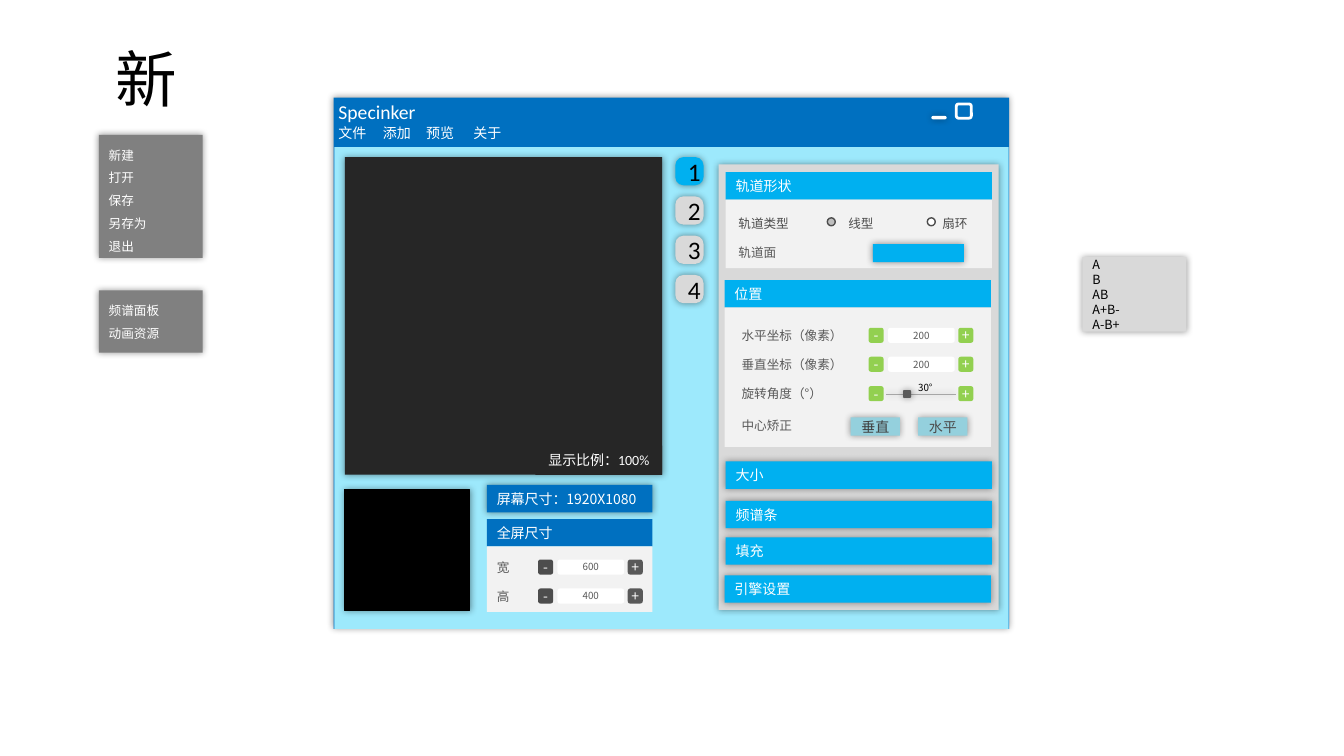
from lxml import etree
from pptx import Presentation
from pptx.dml.color import RGBColor
from pptx.enum.shapes import MSO_CONNECTOR, MSO_SHAPE
from pptx.enum.text import MSO_ANCHOR, PP_ALIGN
from pptx.oxml import parse_xml
from pptx.oxml.ns import nsdecls, qn
from pptx.util import Cm, Pt

RECT, ROUND, OVAL = MSO_SHAPE.RECTANGLE, MSO_SHAPE.ROUNDED_RECTANGLE, MSO_SHAPE.OVAL
LEFT, CENTER = PP_ALIGN.LEFT, PP_ALIGN.CENTER
TOP, MIDDLE = MSO_ANCHOR.TOP, MSO_ANCHOR.MIDDLE

THEME = {
    "latin": "Calibri", "cjk": "Noto Sans CJK SC",
    "white": "FFFFFF", "black": "000000", "blue": "0070C0", "sky": "00B0F0",
    "pale_sky": "9DE9FC", "teal": "94D0DD", "green": "92D050",
    "screen": "262626", "menu": "808080", "panel": "D9D9D9", "card": "F2F2F2",
    "label": "595959", "dark": "4D4D4D", "button_text": "404040",
    "radio": "BFBFBF", "rail": "A6A6A6",
    "display": 44, "tab": 18, "title": 14, "body": 10, "small": 9, "tiny": 7,
}

# Content: (text, position in cm)
MENU_BAR = [("文件", 8.28), ("添加", 9.4), ("预览", 10.49), ("关于", 11.68)]
TABS = ["1", "2", "3", "4"]
DROP_MENUS = [
    (["新建", "打开", "保存", "另存为", "退出"], 3.4, 3.1),
    (["频谱面板", "动画资源"], 7.32, 1.57),
]
BLEND_MODES = ["A", "B", "AB", "A+B-", "A-B+"]
CLOSED_SECTIONS = [("大小", 18.29, 11.63), ("频谱条", 18.29, 12.62),
                   ("填充", 18.29, 13.54), ("引擎设置", 18.26, 14.5)]
TRACK_TYPES = [("线型", 20.85, 21.13, "radio"), ("扇环", 23.37, 23.5, "white")]
POSITION_ROWS = [("水平坐标（像素）", "200", 8.26), ("垂直坐标（像素）", "200", 8.99),
                 ("旋转角度（°）", None, 9.73)]
SIZE_ROWS = [("宽", "600", 14.1), ("高", "400", 14.83)]
CENTERING = [("垂直", 21.44, "button_text"), ("水平", 23.14, "dark")]

HEADER_H = 0.69
STEP = 0.38
LABEL_RISE = 0.13

prs = Presentation()
prs.slide_width, prs.slide_height = Cm(33.87), Cm(19.05)
slide = prs.slides.add_slide(prs.slide_layouts[6])


def color(name):
    return RGBColor.from_string(THEME[name])


def glow(shape):
    """Add a soft, centred shadow."""
    properties = shape._element.spPr
    for old in properties.findall(qn("a:effectLst")):
        properties.remove(old)
    properties.append(parse_xml(
        f'<a:effectLst {nsdecls("a")}><a:outerShdw blurRad="{Pt(5)}" dist="0" dir="0" '
        'algn="ctr" rotWithShape="0"><a:srgbClr val="000000"><a:alpha val="40000"/>'
        '</a:srgbClr></a:outerShdw></a:effectLst>'))


def write(shape, lines, size="body", ink="white", face="cjk", align=LEFT,
          anchor=MIDDLE, spacing=None, inset=0.25):
    frame = shape.text_frame
    layout = {"word_wrap": align == LEFT, "vertical_anchor": anchor,
              "margin_left": Cm(inset), "margin_right": 0,
              "margin_top": Cm(0.13 if anchor == TOP else 0),
              "margin_bottom": 0}
    for name, value in layout.items():
        setattr(frame, name, value)
    for i, line in enumerate(lines):
        paragraph = frame.add_paragraph() if i else frame.paragraphs[0]
        paragraph.alignment, paragraph.line_spacing = align, spacing
        run = paragraph.add_run()
        run.text = line
        for name, value in {"size": Pt(THEME[size]), "name": THEME[face]}.items():
            setattr(run.font, name, value)
        run.font.color.rgb = color(ink)
        east_asian = etree.SubElement(run._r.get_or_add_rPr(), qn("a:ea"))
        east_asian.set("typeface", THEME["cjk"])


def box(x, y, w, h, fill=None, kind=RECT, line=None, weight=0.5, shadow=False, adj=None):
    shape = slide.shapes.add_shape(kind, Cm(x), Cm(y), Cm(w), Cm(h))
    shape.shadow.inherit = False
    if fill:
        shape.fill.solid()
        shape.fill.fore_color.rgb = color(fill)
    else:
        shape.fill.background()
    if line:
        shape.line.color.rgb = color(line)
        shape.line.width = Pt(weight)
    else:
        shape.line.fill.background()
    if adj is not None:
        shape.adjustments[0] = adj
    if shadow:
        glow(shape)
    return shape


def label(text, x, y, w=3.25, h=0.64, **style):
    style = {"size": "small", "ink": "label", "anchor": TOP, **style}
    write(slide.shapes.add_textbox(Cm(x), Cm(y), Cm(w), Cm(h)), [text], **style)


def header(text, x, y, w=6.71, fill="sky", shadow=True):
    write(box(x, y, w, HEADER_H, fill, shadow=shadow), [text])


def card(text, x, y, w, body_h, fill="sky"):
    header(text, x, y, w, fill, shadow=False)
    box(x, y + HEADER_H, w, body_h, "card")


def stepper(value, x, y, minus_fill, plus_fill):
    """Minus and plus buttons around a value field, if there is a value."""
    for sign, shift, fill in (("-", 0, minus_fill), ("+", 2.26, plus_fill)):
        write(box(x + shift, y, STEP, STEP, fill, ROUND), [sign], align=CENTER, inset=0)
    if value:
        write(box(x + 0.49, y, 1.68, STEP, "white", ROUND), [value],
              "tiny", "label", align=CENTER, inset=0)


def draw_window():
    box(8.41, 2.46, 17.02, 13.39, "blue", shadow=True)
    box(23.5, 2.95, 0.33, 0.03, "white", ROUND, "white", 1.5, True, 0.5)
    box(24.1, 2.62, 0.38, 0.36, None, ROUND, "white", 2)
    box(8.43, 3.71, 16.99, 12.14, "pale_sky")
    label("Specinker", 8.28, 2.39, 4.75, 0.86, size="title", ink="white", face="latin")
    for text, x in MENU_BAR:
        label(text, x, 3.02, 1.3, 0.69, size="body", ink="white")
    for i, text in enumerate(TABS):
        tab = box(17.02, 3.96 + 0.99 * i, 0.71, 0.71, "panel" if i else "sky",
                  ROUND, shadow=True, adj=0.29)
        write(tab, [text], "tab", "black", "latin", CENTER)


def draw_preview():
    box(8.69, 12.34, 3.15, 3.05, "black", line="black", shadow=True)
    box(8.69, 3.96, 8, 8, "screen", shadow=True)
    write(box(13.49, 11.23, 3.2, 0.74, "screen"), ["显示比例：100%"],
          face="latin", align=CENTER, inset=0)
    header("屏幕尺寸：1920X1080", 12.27, 12.22, 4.17, "blue")
    card("全屏尺寸", 12.27, 13.08, 4.17, 1.65, "blue")
    for text, value, y in SIZE_ROWS:
        label(text, 12.27, y - LABEL_RISE, 1.2)
        stepper(value, 13.56, y, "dark", "label")


def draw_settings():
    box(18.11, 4.14, 7.06, 11.23, "panel", shadow=True)
    for text, x, y in CLOSED_SECTIONS:
        header(text, x, y)

    card("轨道形状", 18.29, 4.34, 6.71, 1.73)
    label("轨道类型", 18.36, 5.11, 2.18, 0.84, ink="dark", spacing=1.5)
    for text, dot_x, text_x, fill in TRACK_TYPES:
        box(dot_x, 5.49, 0.2, 0.2, fill, OVAL, "dark", 1)
        label(text, text_x, 5.11, 1.4, 0.84, ink="dark", spacing=1.5)
    label("轨道面", 18.36, 6.05)
    box(22, 6.15, 2.29, 0.46, "sky", shadow=True)

    card("位置", 18.26, 7.06, 6.71, 3.51)
    for text, value, y in POSITION_ROWS:
        label(text, 18.44, y - LABEL_RISE)
        stepper(value, 21.89, y, "green", "green")
    rail = slide.shapes.add_connector(MSO_CONNECTOR.STRAIGHT,
                                      Cm(22.33), Cm(9.93), Cm(24.08), Cm(9.93))
    rail.line.color.rgb = color("rail")
    rail.line.width = Pt(0.5)
    glow(rail)
    box(22.76, 9.83, 0.2, 0.2, "label", ROUND, shadow=True)
    label("30°", 22.89, 9.5, 0.94, 0.56, size="tiny", ink="black")
    label("中心矫正", 18.44, 10.39)
    for text, x, ink in CENTERING:
        write(box(x, 10.52, 1.24, 0.46, "teal", shadow=True), [text],
              ink=ink, align=CENTER, inset=0)


def draw_side_menus():
    label("新", 2.67, 0.89, 2.24, 2.13, size="display", ink="black", face="latin")
    for items, y, h in DROP_MENUS:
        write(box(2.49, y, 2.62, h, "menu", shadow=True), items, "small",
              anchor=TOP, spacing=1.5)
    write(box(27.28, 6.48, 2.62, 1.88, "panel", shadow=True), BLEND_MODES, "small", "black")


draw_window()
draw_preview()
draw_settings()
draw_side_menus()
prs.save("out.pptx")
